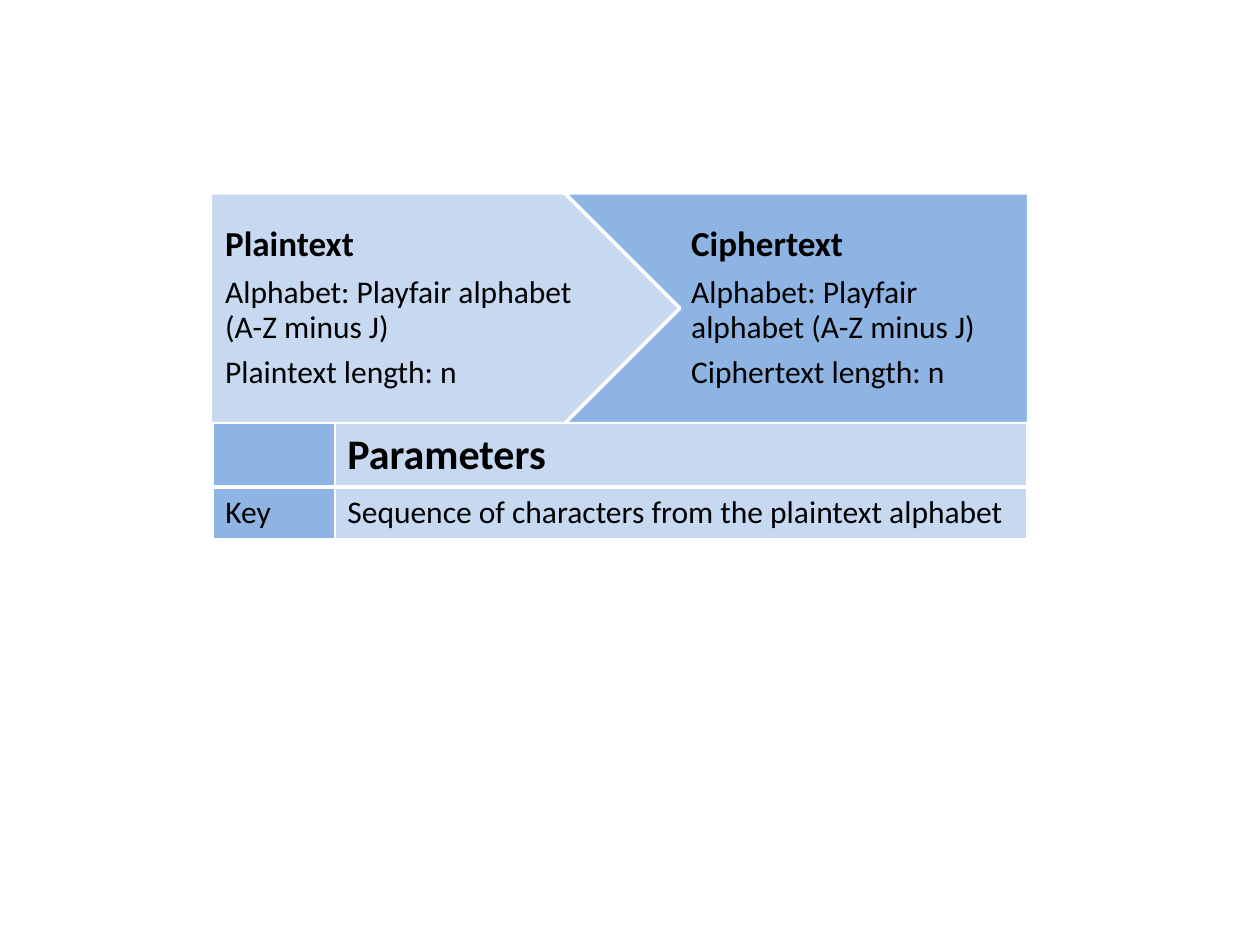
from lxml.etree import SubElement
from pptx import Presentation
from pptx.dml.color import RGBColor
from pptx.enum.shapes import MSO_SHAPE as Preset
from pptx.enum.text import MSO_ANCHOR as Anchor, PP_ALIGN as Align
from pptx.oxml.ns import qn
from pptx.util import Cm, Pt

LIGHT, MEDIUM, WHITE, BLACK = "C6D9F1", "8EB4E3", "FFFFFF", "000000"


def color(hex_string):
    """Turn a hex string into a colour."""
    return RGBColor.from_string(hex_string)


class CipherSlide:
    """Hold the text style and the current slide."""

    def __init__(self, slide, font="Calibri"):
        """Keep the slide and the font."""
        self.slide = slide
        self.font = font
        self.flow = slide.shapes.add_group_shape()

    def add_text(self, paragraph, text, size, bold=False):
        """Add text to a paragraph, one run for each line."""
        for number, line in enumerate(text.split("\n")):
            if number:
                paragraph.add_line_break()
            run = paragraph.add_run()
            run.text = line
            run.font.name = self.font
            run.font.size = Pt(size)
            run.font.bold = bold
            run.font.color.rgb = color(BLACK)

    def block(self, shapes, preset, box, fill, border=0):
        """Add a filled preset shape with an optional white border."""
        block = shapes.add_shape(preset, *(Cm(length) for length in box))
        block.shadow.inherit = False
        block.fill.solid()
        block.fill.fore_color.rgb = color(fill)
        if border:
            block.line.color.rgb = color(WHITE)
            block.line.width = Pt(border)
        else:
            block.line.fill.background()
        return block

    def stage(self, preset, box, fill, left_inset, heading, details):
        """Add one stage of the flow with a heading and its details."""
        stage = self.block(self.flow.shapes, preset, box, fill, border=2)
        stage.adjustments[0] = 0.5
        frame = stage.text_frame
        frame.word_wrap = True
        frame.vertical_anchor = Anchor.MIDDLE
        frame.margin_left, frame.margin_right = Cm(left_inset), Cm(0.08)
        frame.margin_top = frame.margin_bottom = Cm(0.15)
        lines = [(heading, 20, True, 7)] + [(text, 18, False, 6.3) for text in details]
        for number, (text, size, bold, gap) in enumerate(lines):
            paragraph = frame.add_paragraph() if number else frame.paragraphs[0]
            paragraph.alignment = Align.LEFT
            paragraph.line_spacing = 0.9
            paragraph.space_after = Pt(gap)
            self.add_text(paragraph, text, size, bold)

    def cell_borders(self, cell, widths):
        """Give a cell white borders of the given widths."""
        properties = cell._tc.get_or_add_tcPr()
        for side, width in widths.items():
            line = SubElement(properties, qn(f"a:ln{side}"), w=str(Pt(width)))
            fill = SubElement(line, qn("a:solidFill"))
            SubElement(fill, qn("a:srgbClr"), val=WHITE)

    def parameters(self, left, top, widths, heights, rows):
        """Add the table of parameters with a heading row."""
        table = self.slide.shapes.add_table(
            len(rows), len(widths), Cm(left), Cm(top), Cm(sum(widths)), Cm(sum(heights))
        ).table
        for column, width in zip(table.columns, widths):
            column.width = Cm(width)
        for row_number, (row, height, texts) in enumerate(zip(table.rows, heights, rows)):
            row.height = Cm(height)
            heading = row_number == 0
            thick, thin = 3, 0.96
            borders = {"L": thin, "R": thin,
                       "T": thin if heading else thick,
                       "B": thick if heading else thin}
            for cell, text, fill in zip(row.cells, texts, (MEDIUM, LIGHT)):
                self.cell_borders(cell, borders)
                cell.fill.solid()
                cell.fill.fore_color.rgb = color(fill)
                if text:
                    self.add_text(cell.text_frame.paragraphs[0], text, 24 if heading else 18, heading)


def main():
    """Build and save the slide."""
    deck = Presentation()
    deck.slide_width, deck.slide_height = Cm(25.4), Cm(19.05)
    cipher = CipherSlide(deck.slides.add_slide(deck.slide_layouts[6]))
    cipher.stage(Preset.PENTAGON, (4.24, 3.89, 10.01, 4.65), LIGHT, 0.3, "Plaintext",
                 ["Alphabet: Playfair alphabet \n(A-Z minus J)", "Plaintext length: n"])
    cipher.stage(Preset.CHEVRON, (11.38, 3.89, 11.71, 4.65), MEDIUM, 0.23, "Ciphertext",
                 ["Alphabet: Playfair alphabet (A-Z minus J)", "Ciphertext length: n"])
    cipher.block(cipher.slide.shapes, Preset.RECTANGLE, (20.7, 2.92, 2.39, 6.2), WHITE)
    cipher.parameters(4.29, 8.53, (2.46, 13.94), (1.19, 1.04), [
        ("", "Parameters"),
        ("Key", "Sequence of characters from the plaintext alphabet"),
    ])
    deck.save("out.pptx")


if __name__ == "__main__":
    main()
